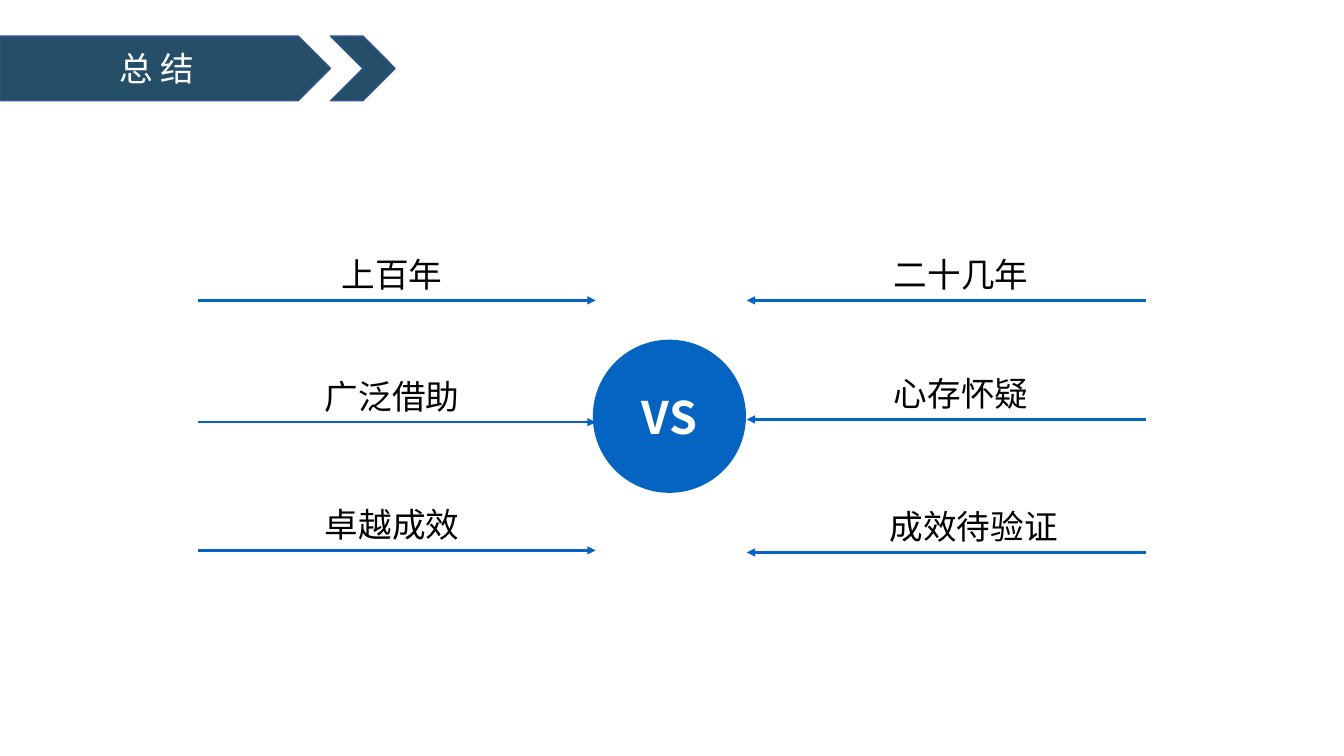
"""Builds the summary slide that sets two sides against each other."""
from pptx import Presentation
from pptx.dml.color import RGBColor
from pptx.enum.shapes import MSO_CONNECTOR as LINE, MSO_SHAPE as SHAPE
from pptx.enum.text import MSO_ANCHOR as ANCHOR, PP_ALIGN as ALIGN
from pptx.oxml.ns import qn
from pptx.util import Cm, Pt

FONT = "Noto Sans CJK SC"
COLORS = {
    "blue": "0563C1",
    "teal": "254F68",
    "edge": "325491",
    "black": "000000",
    "white": "FFFFFF",
}
LEFT_ROWS = [("上百年", 7.57, 9.88), ("广泛借助", 10.64, 9.88), ("卓越成效", 13.87, 9.88)]
RIGHT_ROWS = [("二十几年", 7.57, 24.22), ("心存怀疑", 10.57, 24.22), ("成效待验证", 13.92, 24.54)]


def color(name):
    """Return the named colour."""
    return RGBColor.from_string(COLORS[name])


def write(sp, text, size=24, fill="black", bold=False):
    """Write one centred line of text into a shape."""
    tf = sp.text_frame
    tf.word_wrap = True
    p = tf.paragraphs[0]
    p.alignment = ALIGN.CENTER
    r = p.add_run()
    r.text = text
    r.font.size, r.font.bold, r.font.name = Pt(size), bold, FONT
    r.font.color.rgb = color(fill)
    r.font._element.makeelement
    ea = r.font._element.makeelement(qn("a:ea"), {"typeface": FONT})
    r.font._element.append(ea)


def add_block(slide, kind, box, fill, edge=None):
    """Add a filled preset shape in a box given in centimetres."""
    sp = slide.shapes.add_shape(kind, *map(Cm, box))
    sp.shadow.inherit = False
    sp.fill.solid()
    sp.fill.fore_color.rgb = color(fill)
    if edge:
        sp.line.color.rgb = color(edge)
        sp.line.width = Pt(1)
    else:
        sp.line.fill.background()
    sp.text_frame.vertical_anchor = ANCHOR.MIDDLE
    return sp


def add_arrow(slide, start, end, y):
    """Add a horizontal arrow from start to end at height y."""
    s = slide.shapes.add_connector(LINE.STRAIGHT, Cm(start), Cm(y), Cm(end), Cm(y))
    s.line.color.rgb = color("blue")
    s.line.width = Pt(1.75)
    ln = s.line._get_or_add_ln()
    ln.append(ln.makeelement(qn("a:tailEnd"), {"type": "triangle"}))
    props = s._element.spPr
    props.append(props.makeelement(qn("a:effectLst"), {}))


def add_title(slide, left, top, width, height, text):
    """Place the title arrow and the chevron that follows it."""
    sp = add_block(slide, SHAPE.PENTAGON, (left, top, width, height), "teal", "edge")
    write(sp, text, fill="white")
    add_block(slide, SHAPE.CHEVRON, (left + width, top, height, height), "teal", "edge")


def add_side(slide, start, end, rows):
    """Place one side's labels, each above an arrow towards the middle."""
    width, height = 5.7, 1.27
    for text, y, center in rows:
        add_arrow(slide, start, end, y)
        sp = slide.shapes.add_textbox(Cm(center - width / 2), Cm(y - 1.3), Cm(width), Cm(height))
        write(sp, text)


def add_badge(slide, left, top, size, text):
    """Place the round badge between the two sides."""
    sp = add_block(slide, SHAPE.OVAL, (left, top, size, size), "blue")
    tf = sp.text_frame
    tf.margin_left = tf.margin_right = tf.margin_top = tf.margin_bottom = 0
    write(sp, text, size=32, fill="white", bold=True)


def main():
    """Build and save the slide."""
    prs = Presentation()
    prs.slide_width, prs.slide_height = Cm(33.87), Cm(19.05)
    slide = prs.slides.add_slide(prs.slide_layouts[6])
    add_badge(slide, 14.94, 8.56, 3.86, "VS")
    add_side(slide, 4.98, 15.01, LEFT_ROWS)
    add_side(slide, 28.88, 18.82, RIGHT_ROWS)
    add_title(slide, 0, 0.91, 8.33, 1.63, "总 结")
    prs.save("out.pptx")


if __name__ == "__main__":
    main()
